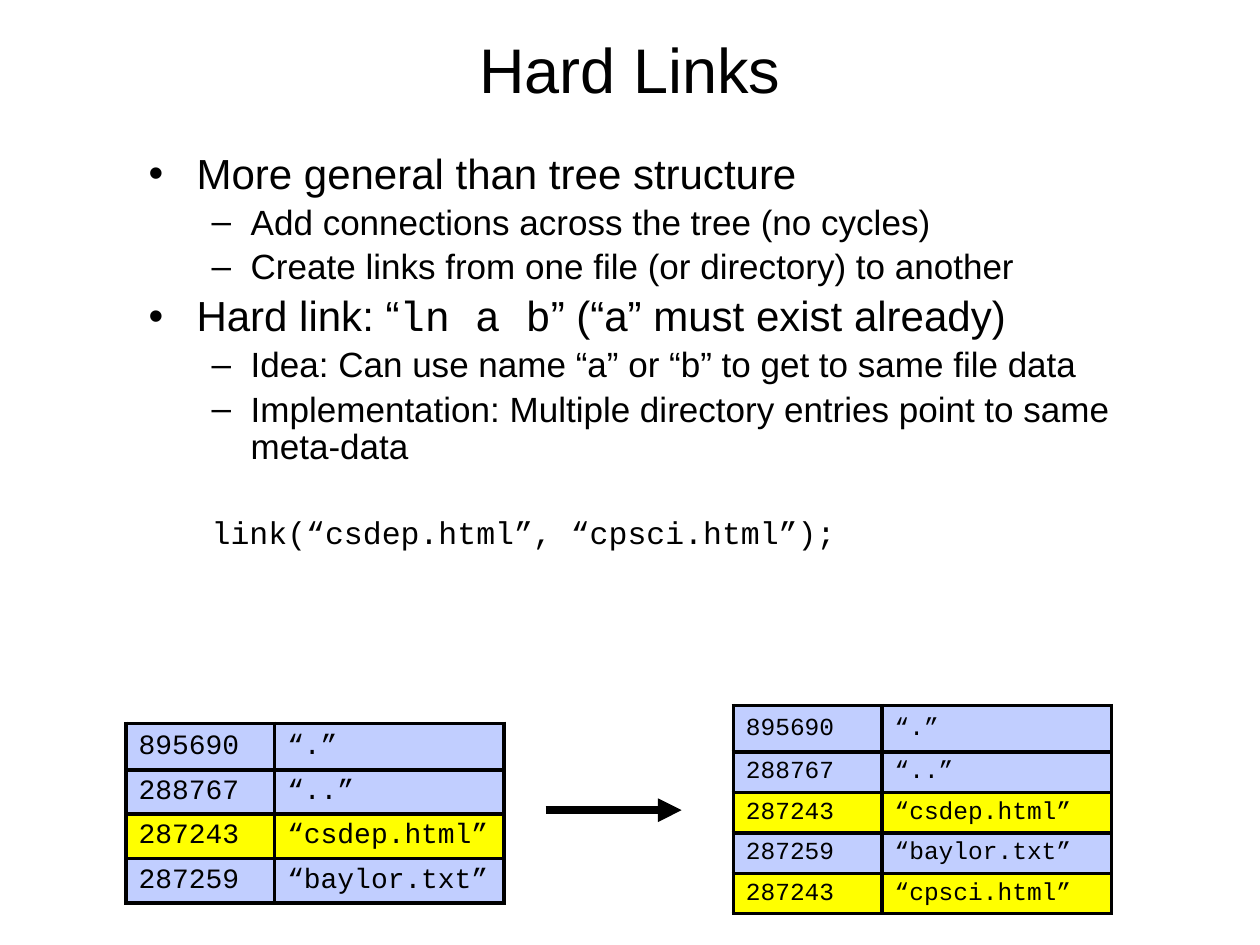
import pptx
import pptx.dml.color
import pptx.enum.shapes
import pptx.enum.text
import pptx.oxml
import pptx.oxml.ns
import pptx.util
from pptx.util import Inches, Pt

# Content
SANS, MONO = "Arial", "Courier New"
TITLE = "Hard Links"
# level style, spans of (text, font)
BODY = [
    ("point", [("More general than tree structure", SANS)]),
    ("detail", [("Add connections across the tree (no cycles)", SANS)]),
    ("detail", [("Create links from one file (or directory) to another", SANS)]),
    ("point", [("Hard link: “", SANS), ("ln a b", MONO),
               ("” (“a” must exist already)", SANS)]),
    ("detail", [("Idea: Can use name “a” or “b” to get to same file data", SANS)]),
    ("detail", [("Implementation: Multiple directory entries point to same meta-data", SANS)]),
    ("code", [("link(“csdep.html”, “cpsci.html”);", MONO)]),
]
STYLES = {
    "point": dict(level=0, size=24, before=5, left=0.38, hang=0.38, bullet="•"),
    "detail": dict(level=1, size=20, before=4, left=0.81, hang=0.31, bullet="–"),
    "code": dict(level=1, size=18, before=29, left=0.81, hang=0.31, bullet=None),
}
ENTRIES = [("895690", "“.”"), ("288767", "“..”"), ("287243", "“csdep.html”"),
           ("287259", "“baylor.txt”")]
NEW_ENTRY = ("287243", "“cpsci.html”")
LINKED_NODE = "287243"
# left, top, text size, entries
DIRECTORIES = [(5.82, 5.6, 14, ENTRIES + [NEW_ENTRY]), (1, 5.74, 16, ENTRIES)]
COLUMN_WIDTHS = (1.18, 1.82)
FIRST_ROW, OTHER_ROW = 0.37, 0.32
BLACK, BLUE, YELLOW = "000000", "C1CEFF", "FFFF00"


def colour(value):
    return pptx.dml.color.RGBColor.from_string(value)


def apply(target, values):
    for name, value in values.items():
        setattr(target, name, value)


def add_xml(parent, markup):
    """Append a DrawingML element, declaring its namespace."""
    tag, rest = markup[1:].split(" ", 1)
    parent.append(pptx.oxml.parse_xml(
        f"<{tag} {pptx.oxml.ns.nsdecls('a')} {rest}"))


def write(para, text, font, size):
    span = para.add_run()
    span.text = text
    apply(span.font, dict(name=font, size=Pt(size)))
    span.font.color.rgb = colour(BLACK)


def place(box, left, top, width, height):
    apply(box, dict(left=Inches(left), top=Inches(top),
                    width=Inches(width), height=Inches(height)))
    apply(box.text_frame, dict(word_wrap=True,
                               auto_size=pptx.enum.text.MSO_AUTO_SIZE.NONE))


def fill_body(frame):
    for index, (kind, spans) in enumerate(BODY):
        style = STYLES[kind]
        para = frame.paragraphs[0] if index == 0 else frame.add_paragraph()
        apply(para, dict(level=style["level"], line_spacing=0.89,
                         space_before=Pt(style["before"])))
        props = para._p.get_or_add_pPr()
        props.set("marL", str(Inches(style["left"])))
        props.set("indent", str(-Inches(style["hang"])))
        if style["bullet"]:
            add_xml(props, f'<a:buFont typeface="{SANS}"/>')
            add_xml(props, f'<a:buChar char="{style["bullet"]}"/>')
        else:
            add_xml(props, "<a:buNone />")
        for text, font in spans:
            write(para, text, font, style["size"])


def add_directory(page, left, top, size, entries):
    height = FIRST_ROW + OTHER_ROW * (len(entries) - 1)
    table = page.shapes.add_table(
        len(entries), len(COLUMN_WIDTHS), Inches(left), Inches(top),
        Inches(sum(COLUMN_WIDTHS)), Inches(height)).table
    apply(table, dict(first_row=False, horz_banding=False))
    for column, width in zip(table.columns, COLUMN_WIDTHS):
        column.width = Inches(width)
    for row_index, entry in enumerate(entries):
        table.rows[row_index].height = Inches(OTHER_ROW if row_index else FIRST_ROW)
        for column_index, text in enumerate(entry):
            cell = table.cell(row_index, column_index)
            cell.vertical_anchor = pptx.enum.text.MSO_ANCHOR.MIDDLE
            for side in "LRTB":
                add_xml(cell._tc.get_or_add_tcPr(),
                        f'<a:ln{side} w="{Pt(2.25)}"><a:solidFill>'
                        f'<a:srgbClr val="{BLACK}"/></a:solidFill></a:ln{side}>')
            cell.fill.solid()
            cell.fill.fore_color.rgb = colour(YELLOW if entry[0] == LINKED_NODE else BLUE)
            write(cell.text_frame.paragraphs[0], text, MONO, size)


def main():
    deck = pptx.Presentation()
    apply(deck, dict(slide_width=Inches(10), slide_height=Inches(7.5)))
    page = deck.slides.add_slide(deck.slide_layouts[1])

    # Title and list
    title, body = page.placeholders
    place(title, 0.5, 0.17, 9, 0.75)
    title.text_frame.vertical_anchor = pptx.enum.text.MSO_ANCHOR.MIDDLE
    heading = title.text_frame.paragraphs[0]
    heading.alignment = pptx.enum.text.PP_ALIGN.CENTER
    write(heading, TITLE, SANS, 36)
    place(body, 1.08, 1.17, 7.92, 3.58)
    fill_body(body.text_frame)

    # Directory tables after and before the link
    for directory in DIRECTORIES:
        add_directory(page, *directory)

    # Arrow from before to after
    arrow = page.shapes.add_connector(
        pptx.enum.shapes.MSO_CONNECTOR.STRAIGHT,
        Inches(4.33), Inches(6.43), Inches(5.41), Inches(6.43))
    arrow.line.width = Pt(4.5)
    arrow.line.color.rgb = colour(BLACK)
    add_xml(arrow.line._get_or_add_ln(), '<a:tailEnd type="triangle"/>')
    add_xml(arrow._element.spPr, "<a:effectLst />")

    deck.save("out.pptx")


if __name__ == "__main__":
    main()
